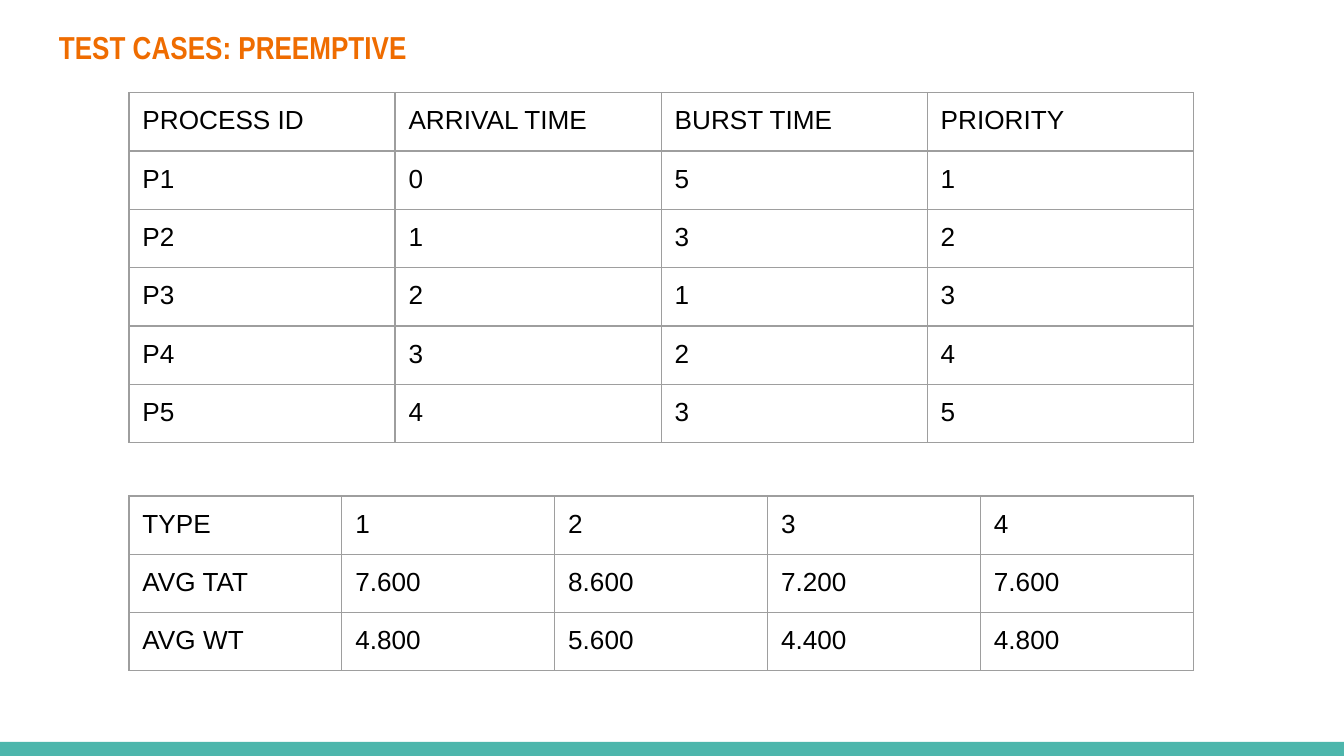
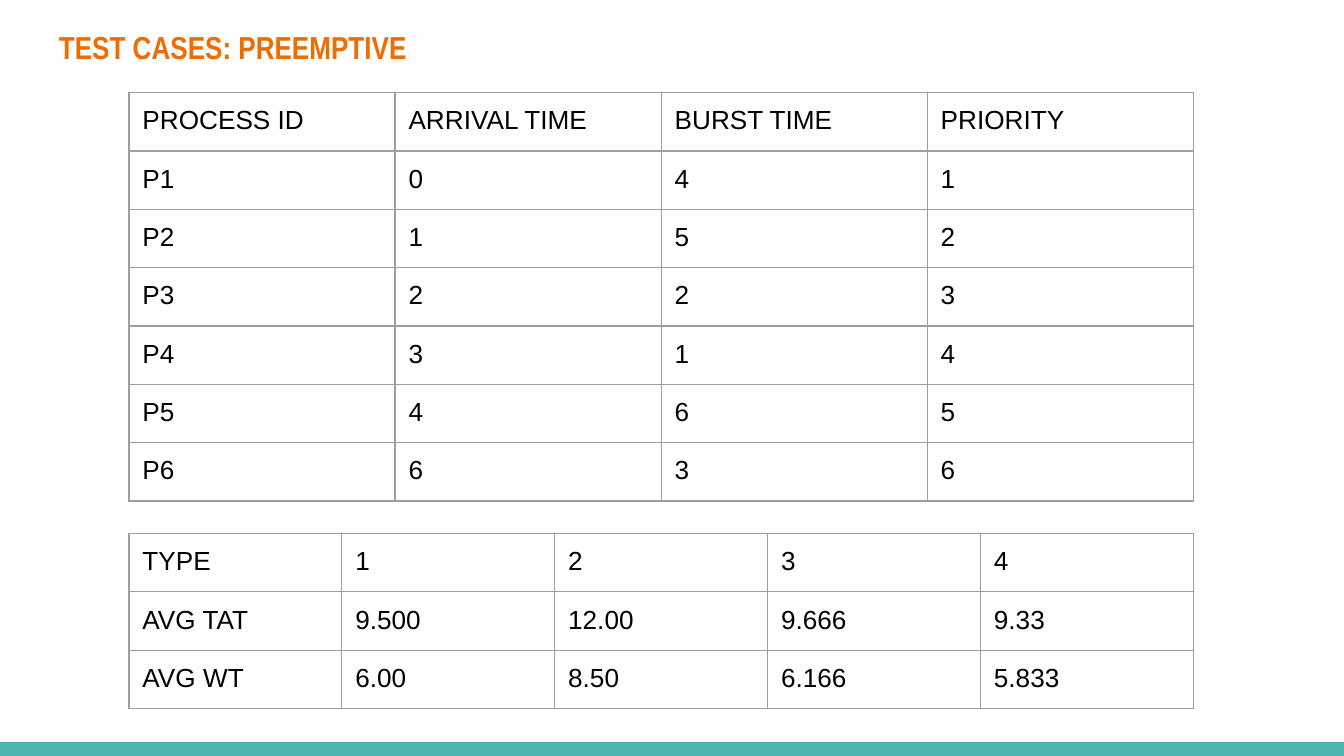
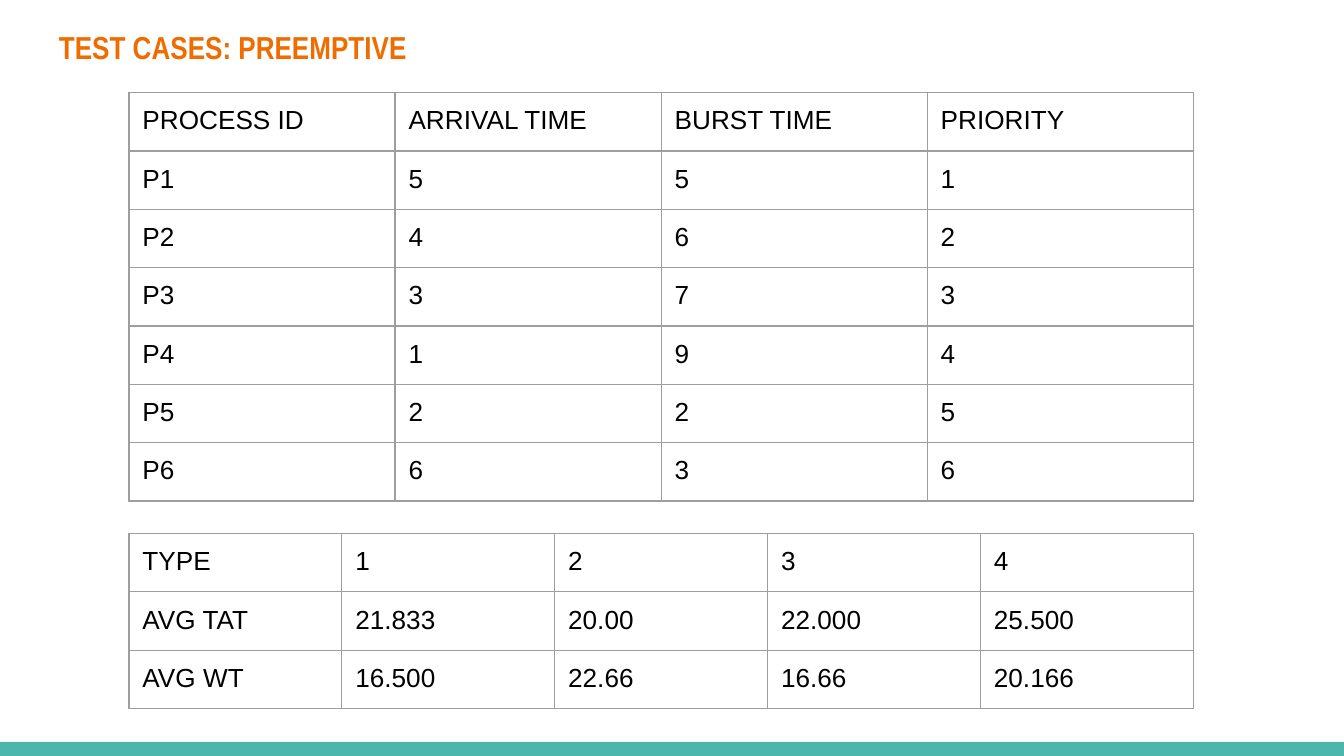
from lxml import etree
from pptx import Presentation
from pptx.dml.color import RGBColor
from pptx.enum.shapes import MSO_SHAPE
from pptx.enum.text import MSO_ANCHOR, PP_ALIGN
from pptx.oxml.ns import qn
from pptx.util import Inches, Pt

# Colours
WHITE = RGBColor(0xFF, 0xFF, 0xFF)
BLACK = RGBColor(0x00, 0x00, 0x00)
ORANGE = RGBColor(0xEF, 0x6C, 0x00)
TEAL = RGBColor(0x4D, 0xB6, 0xAC)
GREY = RGBColor(0x9E, 0x9E, 0x9E)

# Table layout in inches
TABLE_LEFT, TABLE_WIDTH = 0.96, 7.92
PROCESS_TOP, PROCESS_ROW = 0.69, 0.33
AVERAGE_ROW = 0.42

TITLE = "TEST CASES: PREEMPTIVE"
PROCESS_HEAD = ["PROCESS ID", "ARRIVAL TIME", "BURST TIME", "PRIORITY"]
AVERAGE_HEAD = ["TYPE", "1", "2", "3", "4"]

# Each case: arrival times, burst times, average TAT, average WT, top of averages
CASES = [
    ([0, 1, 2, 3, 4], [5, 3, 1, 2, 3],
     ["7.600", "8.600", "7.200", "7.600"],
     ["4.800", "5.600", "4.400", "4.800"], 3.69),
    ([0, 1, 2, 3, 4, 6], [4, 5, 2, 1, 6, 3],
     ["9.500", "12.00", "9.666", "9.33"],
     ["6.00", "8.50", "6.166", "5.833"], 3.97),
    ([5, 4, 3, 1, 2, 6], [5, 6, 7, 9, 2, 3],
     ["21.833", "20.00", "22.000", "25.500"],
     ["16.500", "22.66", "16.66", "20.166"], 3.97),
]


class Deck:
    """Holds the shared style and the current slide."""

    def __init__(self):
        self.prs = Presentation()
        self.prs.slide_width = Inches(10)
        self.prs.slide_height = Inches(10) * 9 // 16
        self.s = None

    def new_slide(self, title):
        self.s = self.prs.slides.add_slide(self.prs.slide_layouts[6])
        fill = self.s.background.fill
        fill.solid()
        fill.fore_color.rgb = WHITE
        self.band()
        self.title(title)

    def band(self):
        sp = self.s.shapes.add_shape(MSO_SHAPE.RECTANGLE, Inches(0), Inches(5.52),
                                     Inches(10), Inches(0.11))
        sp.shadow.inherit = False
        sp.fill.solid()
        sp.fill.fore_color.rgb = TEAL
        sp.line.fill.background()

    def title(self, text):
        sp = self.s.shapes.add_textbox(Inches(0.34), Inches(0.11),
                                       Inches(9.32), Inches(0.44))
        tf = sp.text_frame
        tf.word_wrap = True
        tf.vertical_anchor = MSO_ANCHOR.TOP
        self.inset(tf)
        self.run(tf, text, 17, "Arial Narrow", ORANGE, bold=True)

    def table(self, rows, top, row_height):
        frame = self.s.shapes.add_table(len(rows), len(rows[0]), Inches(TABLE_LEFT),
                                        Inches(top), Inches(TABLE_WIDTH),
                                        Inches(row_height * len(rows)))
        tbl = frame.table
        tbl.first_row = tbl.horz_banding = False
        for r, values in enumerate(rows):
            for c, value in enumerate(values):
                cell = tbl.cell(r, c)
                self.inset(cell)
                self.run(cell.text_frame, str(value), 14, "Arial", BLACK)
                self.borders(cell)
                cell.fill.background()

    @staticmethod
    def inset(box):
        box.margin_left = box.margin_right = Inches(0.1)
        box.margin_top = box.margin_bottom = Inches(0.1)

    @staticmethod
    def run(tf, text, size, font, color, bold=False):
        p = tf.paragraphs[0]
        p.alignment = PP_ALIGN.LEFT
        p.line_spacing = 1.0
        p.space_before = p.space_after = Pt(0)
        r = p.add_run()
        r.text = text
        r.font.size = Pt(size)
        r.font.name = font
        r.font.bold = bold
        r.font.color.rgb = color

    @staticmethod
    def borders(cell):
        tc_pr = cell._tc.get_or_add_tcPr()
        for side in ("a:lnL", "a:lnR", "a:lnT", "a:lnB"):
            ln = etree.SubElement(tc_pr, qn(side), w=str(Pt(0.75)))
            fill = etree.SubElement(ln, qn("a:solidFill"))
            etree.SubElement(fill, qn("a:srgbClr"), val=str(GREY))


def main():
    deck = Deck()
    for arrivals, bursts, tat, wt, averages_top in CASES:
        deck.new_slide(TITLE)
        # Processes, with priority following the process number
        processes = [[f"P{n}", arrival, burst, n]
                     for n, (arrival, burst) in enumerate(zip(arrivals, bursts), 1)]
        deck.table([PROCESS_HEAD] + processes, PROCESS_TOP, PROCESS_ROW)
        # Averages per scheduling type
        deck.table([AVERAGE_HEAD, ["AVG TAT"] + tat, ["AVG WT"] + wt],
                   averages_top, AVERAGE_ROW)
    deck.prs.save("out.pptx")


if __name__ == "__main__":
    main()
